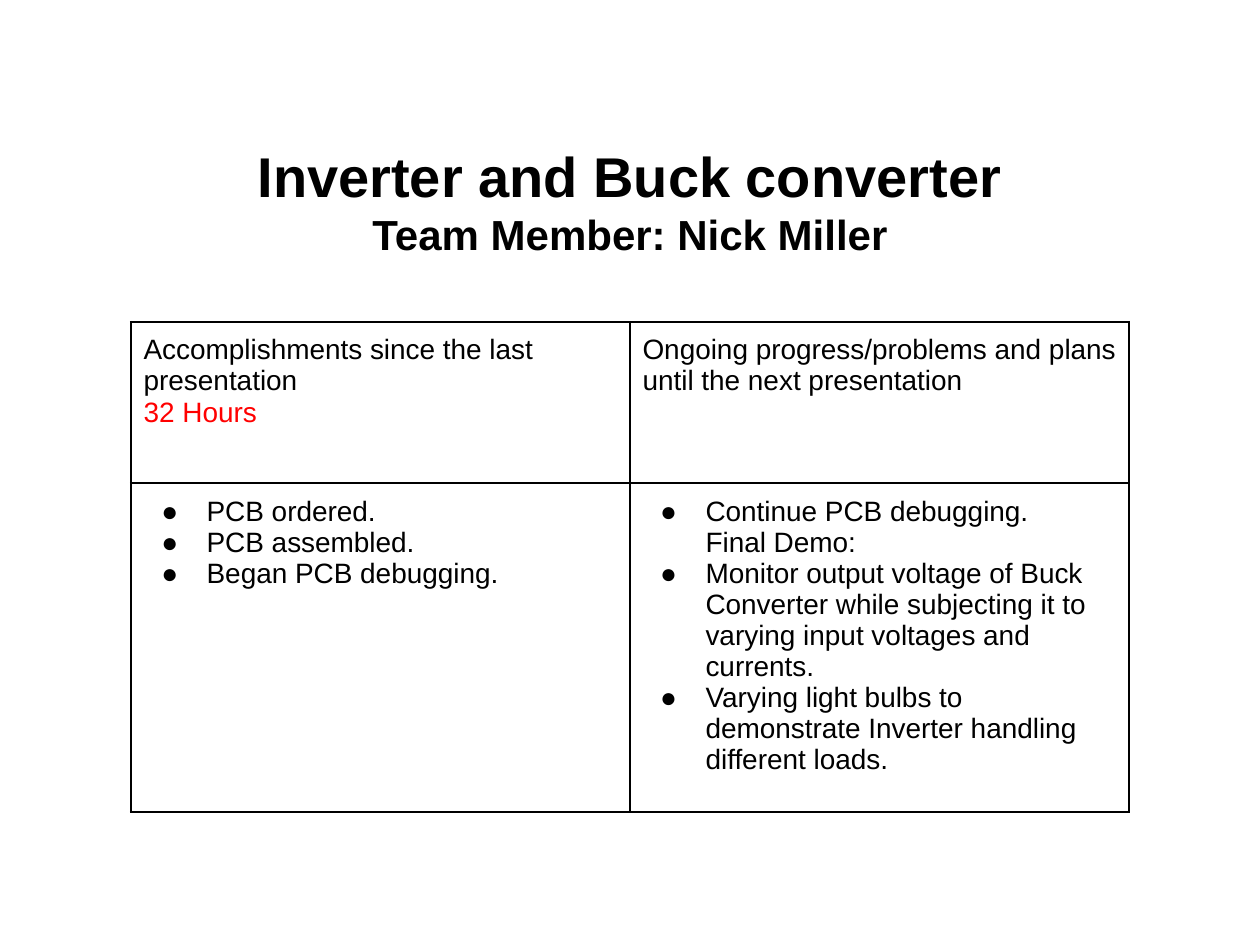
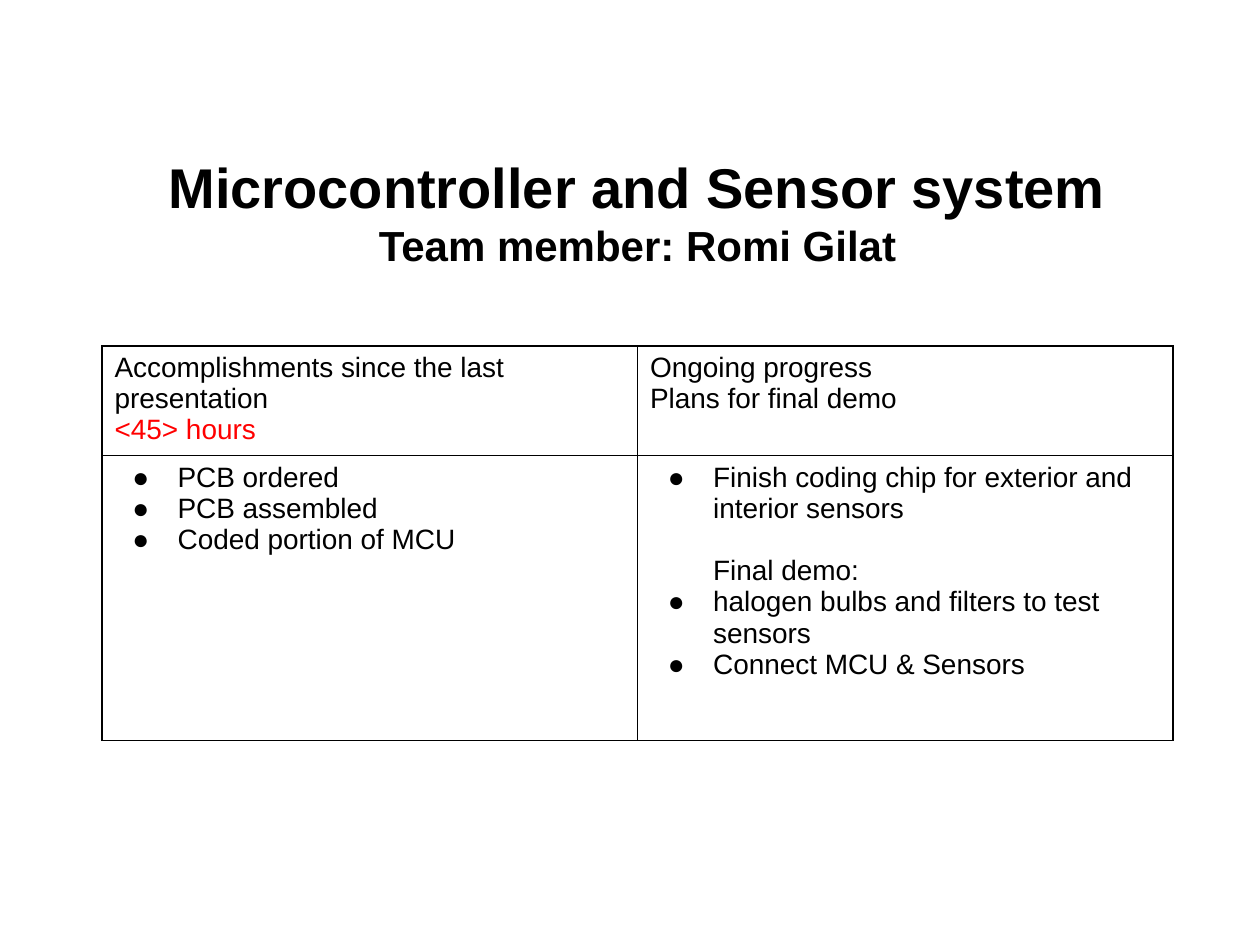
from lxml import etree
from pptx import Presentation
from pptx.dml.color import RGBColor
from pptx.enum import text as t
from pptx.oxml import ns
from pptx.util import Pt

BLACK = RGBColor(0, 0, 0)
RED = RGBColor(255, 0, 0)
FONT = "Arial"
TITLE_SIZES = (32, 24)
BODY_SIZE = 16
BLANK_LINE = 18
TEXT_INDENT, BULLET_HANG = 36, -25.9

reports = [
    dict(
        title=("Inverter and Buck converter", "Team Member: Nick Miller"),
        title_box=(36, 82.8, 648, 63.4),
        corner=(74.9, 184), column=285.1, rows=(92.2, 187.9),
        border=1.5, padding=7.2, demo_gap=0,
        done_heading=["Accomplishments since the last presentation", "32 Hours"],
        plan_heading=["Ongoing progress/problems and plans until the next presentation"],
        done=["PCB ordered.", "PCB assembled.", "Began PCB debugging."],
        plans=["Continue PCB debugging.", "Final Demo:",
               "Monitor output voltage of Buck Converter while subjecting it to "
               "varying input voltages and currents.",
               "Varying light bulbs to demonstrate Inverter handling different loads."],
    ),
    dict(
        title=("Microcontroller and Sensor system", "Team member: Romi Gilat"),
        title_box=(40.3, 68, 648, 105.8),
        corner=(58.3, 197.8), column=306, rows=(62.6, 162.7),
        border=1, padding=3.6, demo_gap=BLANK_LINE,
        done_heading=["Accomplishments since the last presentation", "<45> hours"],
        plan_heading=["Ongoing progress", "Plans for final demo"],
        done=["PCB ordered", "PCB assembled", "Coded portion of MCU"],
        plans=["Finish coding chip for exterior and interior sensors", "Final demo:",
               "halogen bulbs and filters to test sensors", "Connect MCU & Sensors"],
    ),
]


def write_line(frame, index, line, size, color=BLACK, bold=False, bulleted=False, indented=False):
    paragraph = frame.paragraphs[0] if index == 0 else frame.add_paragraph()
    paragraph.text = line
    props = paragraph._p.get_or_add_pPr()
    if indented:
        props.set("marL", str(Pt(TEXT_INDENT)))
        props.set("indent", str(Pt(BULLET_HANG) if bulleted else 0))
    if bulleted:
        bullet_color = etree.SubElement(props, ns.qn("a:buClr"))
        etree.SubElement(bullet_color, ns.qn("a:srgbClr"), val=str(BLACK))
        etree.SubElement(props, ns.qn("a:buFont"), typeface=FONT)
        etree.SubElement(props, ns.qn("a:buChar"), char="●")
    paragraph.font.name = FONT
    paragraph.font.size = Pt(size)
    paragraph.font.bold = bold
    paragraph.font.color.rgb = color
    return paragraph


def style_cell(cell, border, padding):
    cell.margin_left = cell.margin_right = Pt(7.2)
    cell.margin_top = cell.margin_bottom = Pt(padding)
    props = cell._tc.get_or_add_tcPr()
    for side in ("lnL", "lnR", "lnT", "lnB"):
        edge = etree.SubElement(props, ns.qn(f"a:{side}"), w=str(Pt(border)))
        paint = etree.SubElement(edge, ns.qn("a:solidFill"))
        etree.SubElement(paint, ns.qn("a:srgbClr"), val=str(BLACK))
    cell.fill.background()


prs = Presentation()
prs.slide_width, prs.slide_height = Pt(720), Pt(540)

for report in reports:
    slide = prs.slides.add_slide(prs.slide_layouts[5])

    title = slide.shapes.title
    title.left, title.top, title.width, title.height = map(Pt, report["title_box"])
    heading = title.text_frame
    heading.word_wrap = True
    heading.auto_size = t.MSO_AUTO_SIZE.NONE
    heading.vertical_anchor = t.MSO_ANCHOR.MIDDLE
    for i, (line, size) in enumerate(zip(report["title"], TITLE_SIZES)):
        write_line(heading, i, line, size, bold=True).alignment = t.PP_ALIGN.CENTER

    left, top = report["corner"]
    progress = slide.shapes.add_table(
        2, 2, Pt(left), Pt(top), Pt(2 * report["column"]), Pt(sum(report["rows"]))).table
    progress.first_row = progress.horz_banding = False
    for column in progress.columns:
        column.width = Pt(report["column"])
    for row, height in zip(progress.rows, report["rows"]):
        row.height = Pt(height)
    for cell in progress.iter_cells():
        style_cell(cell, report["border"], report["padding"])

    for col, part in enumerate(("done", "plan")):
        for i, line in enumerate(report[f"{part}_heading"]):
            is_hours = part == "done" and i == 1
            write_line(progress.cell(0, col).text_frame, i, line, BODY_SIZE,
                       RED if is_hours else BLACK)

    for col, part in enumerate(("done", "plans")):
        for i, line in enumerate(report[part]):
            is_demo = line.endswith(":")
            paragraph = write_line(progress.cell(1, col).text_frame, i, line, BODY_SIZE,
                                   bulleted=not is_demo, indented=True)
            if is_demo:
                paragraph.space_before = Pt(report["demo_gap"])

prs.save("out.pptx")
